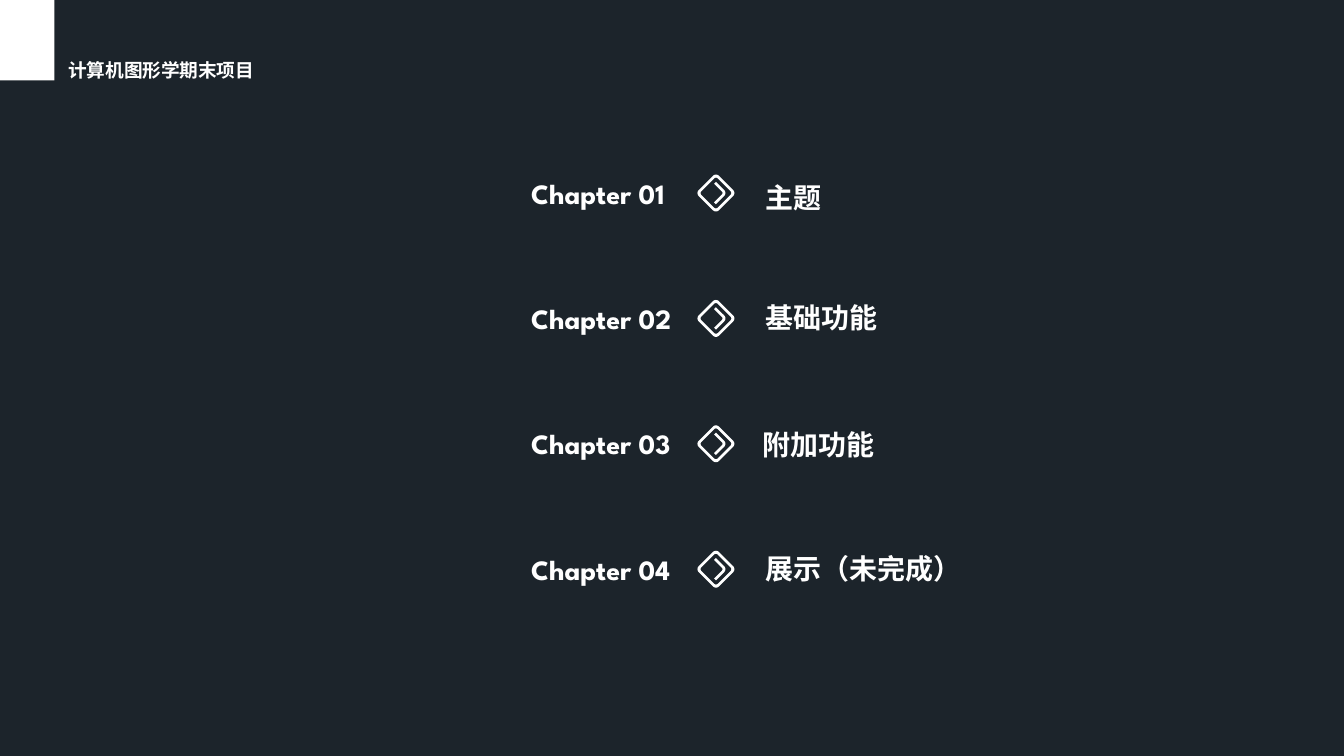
from math import cos, pi, sin

from pptx import Presentation
from pptx.dml.color import RGBColor
from pptx.enum.shapes import MSO_SHAPE
from pptx.enum.text import MSO_AUTO_SIZE
from pptx.util import Cm, Pt

RECT = MSO_SHAPE.RECTANGLE
GROW = MSO_AUTO_SIZE.SHAPE_TO_FIT_TEXT
WHITE = RGBColor(0xFF, 0xFF, 0xFF)
DARK = RGBColor(0x1C, 0x24, 0x2B)
FONT = "League Spartan"
STEP = 2.37
MID = 13.53

deck = Presentation()
deck.slide_width = Cm(25.4)
deck.slide_height = Cm(14.29)
slide = deck.slides.add_slide(deck.slide_layouts[6])
slide.background.fill.solid()
slide.background.fill.fore_color.rgb = DARK
shapes = slide.shapes


def add_text(text, left, top, width, height, size=15, wrap=True, pad=(0.25, 0.13), space=None):
    box = shapes.add_textbox(Cm(left), Cm(top), Cm(width), Cm(height))
    frame = box.text_frame
    frame.word_wrap = wrap
    frame.auto_size = GROW
    frame.margin_left = frame.margin_right = Cm(pad[0])
    frame.margin_top = frame.margin_bottom = Cm(pad[1])
    para = frame.paragraphs[0]
    para.line_spacing = space
    run = para.add_run()
    run.text = text
    run.font.name = FONT
    run.font.size = Pt(size)
    run.font.bold = True
    run.font.color.rgb = WHITE


def round_corner(half, radius, turn):
    start = turn * pi / 2
    side = half - radius
    x = side if turn in (0, 3) else -side
    y = side if turn in (0, 1) else -side
    angles = [start + step * pi / 12 for step in range(7)]
    return [(x + radius * cos(a), y + radius * sin(a)) for a in angles]


outer = [p for turn in range(4) for p in round_corner(0.27, 0.08, turn)]
inner = [p for turn in range(4) for p in round_corner(0.22, 0.05, turn)][::-1]
arrow = [(-0.15, -0.15)] + round_corner(0.15, 0.08, 3) + [(0.15, 0.15), (0.1, 0.15)]
arrow += [(x - 0.05, y + 0.05) for x, y in round_corner(0.15, 0.04, 3)[::-1]]
arrow += [(-0.15, -0.1)]

block = shapes.add_shape(RECT, 0, 0, Cm(1.03), Cm(1.52))
block.shadow.inherit = False
block.fill.solid()
block.fill.fore_color.rgb = WHITE
block.line.fill.background()
add_text("计算机图形学期末项目", 1.04, 1.04, 6.12, 0.66, size=10, space=0.9)

items = [
    ("主题", 14.22, 3.28),
    ("基础功能", 14.22, 5.56),
    ("附加功能", 14.17, 7.95),
    ("展示（未完成）", 14.22, 10.29),
]
for row, (name, left, top) in enumerate(items):
    add_text(f"Chapter {row + 1:02}", 9.86, 3.23 + row * STEP, 3.3, 0.84,
             wrap=False, pad=(0.18, 0.1))
    add_text(name, left, top, 6.02, 0.89)
    centre = 3.65 + row * STEP
    for loops in ([arrow], [outer, inner]):
        pen = None
        for loop in loops:
            points = [(Cm(MID + x), Cm(centre + y)) for x, y in loop]
            if pen is None:
                pen = shapes.build_freeform(*points[0])
            else:
                pen.move_to(*points[0])
            pen.add_line_segments(points[1:], close=True)
        icon = pen.convert_to_shape()
        icon.rotation = 45
        icon.shadow.inherit = False
        icon.fill.solid()
        icon.fill.fore_color.rgb = WHITE
        icon.line.fill.background()

deck.save("out.pptx")
